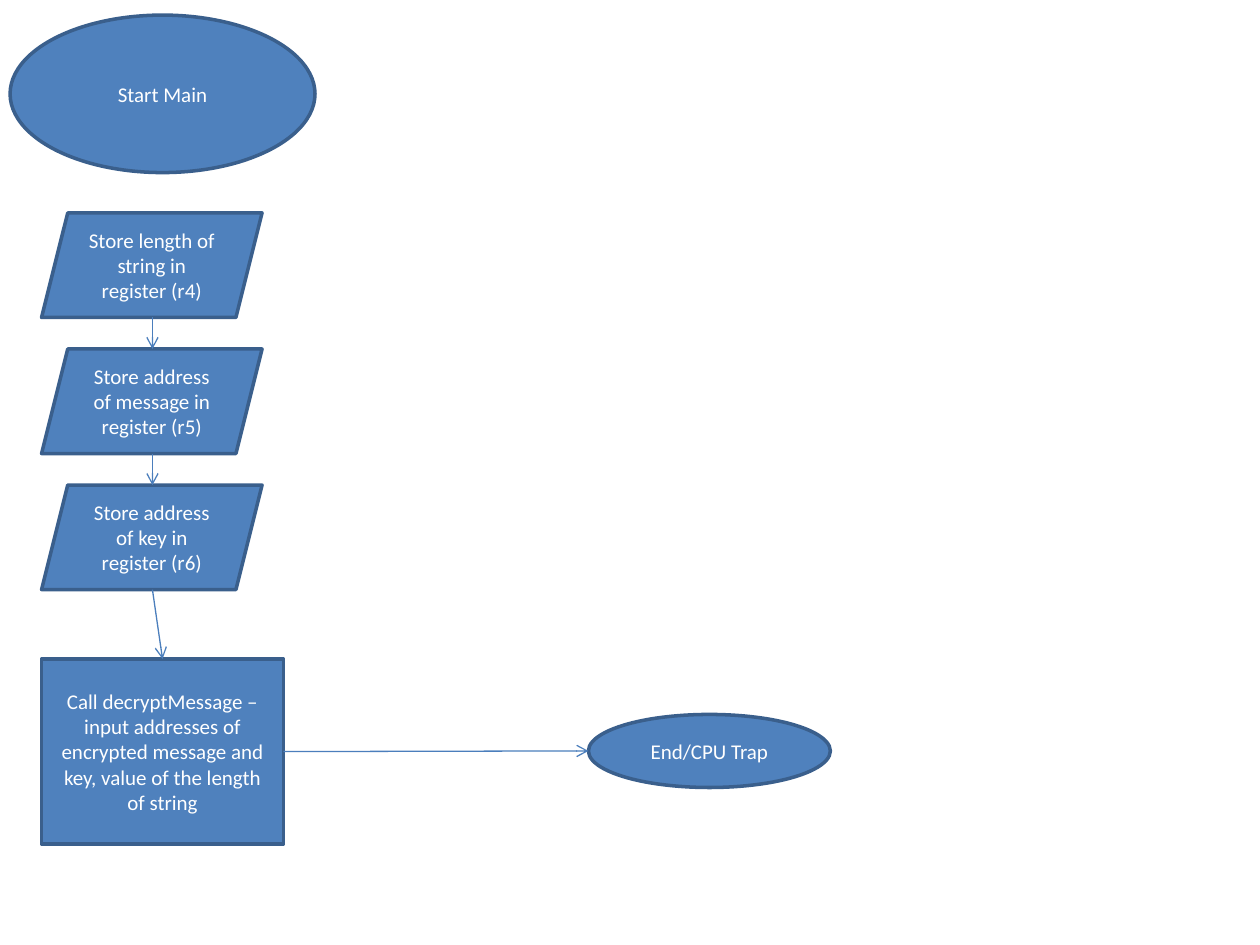
from lxml.etree import SubElement
from pptx import Presentation
from pptx.dml.color import RGBColor
from pptx.enum.shapes import MSO_CONNECTOR, MSO_SHAPE
from pptx.enum.text import MSO_ANCHOR, PP_ALIGN
from pptx.oxml.ns import qn
from pptx.util import Inches, Pt

COLORS = {"fill": "4F81BD", "outline": "3A5F8C", "arrow": "4B7EBC", "text": "FFFFFF"}

deck = Presentation()
deck.slide_width, deck.slide_height = Inches(10), Inches(7.5)
page = deck.slides.add_slide(deck.slide_layouts[6])


def add_step(kind, left, top, width, height, text):
    box = page.shapes.add_shape(
        kind, Inches(left), Inches(top), Inches(width), Inches(height))
    box.shadow.inherit = False
    box.fill.solid()
    box.fill.fore_color.rgb = RGBColor.from_string(COLORS["fill"])
    box.line.color.rgb = RGBColor.from_string(COLORS["outline"])
    box.line.width = Pt(2)
    frame = box.text_frame
    frame.word_wrap = True
    frame.vertical_anchor = MSO_ANCHOR.MIDDLE
    para = frame.paragraphs[0]
    para.text = text
    para.alignment = PP_ALIGN.CENTER
    para.font.name = "Calibri"
    para.font.size = Pt(12)
    para.font.color.rgb = RGBColor.from_string(COLORS["text"])
    return box


def add_arrow(x1, y1, x2, y2):
    arrow = page.shapes.add_connector(
        MSO_CONNECTOR.STRAIGHT, Inches(x1), Inches(y1), Inches(x2), Inches(y2))
    arrow.line.color.rgb = RGBColor.from_string(COLORS["arrow"])
    arrow.line.width = Pt(0.75)
    SubElement(arrow.line._get_or_add_ln(), qn("a:tailEnd"), type="arrow")
    SubElement(arrow._element.spPr, qn("a:effectLst"))
    return arrow


add_step(MSO_SHAPE.OVAL, 0.08, 0.12, 2.42, 1.25, "Start Main")
call = add_step(
    MSO_SHAPE.RECTANGLE, 0.33, 5.23, 1.92, 1.47,
    "Call decryptMessage – input addresses of encrypted message and key, "
    "value of the length of string")
add_step(MSO_SHAPE.OVAL, 4.67, 5.67, 1.92, 0.58, "End/CPU Trap")

first_top, pitch, store_height, store_middle = 1.69, 1.08, 0.83, 1.21
stores = [
    "Store length of string in register (r4)",
    "Store address of message in register (r5)",
    "Store address of key in register (r6)",
]
for index, text in enumerate(stores):
    top = first_top + index * pitch
    add_step(MSO_SHAPE.PARALLELOGRAM, 0.33, top, 1.75, store_height, text)
    if index:
        add_arrow(store_middle, top - pitch + store_height, store_middle, top)

to_call = add_arrow(store_middle, top + store_height, 1.29, 5.23)
to_call.end_connect(call, 0)
to_end = add_arrow(2.25, 5.96, 4.67, 5.96)
to_end.begin_connect(call, 3)

deck.save("out.pptx")
